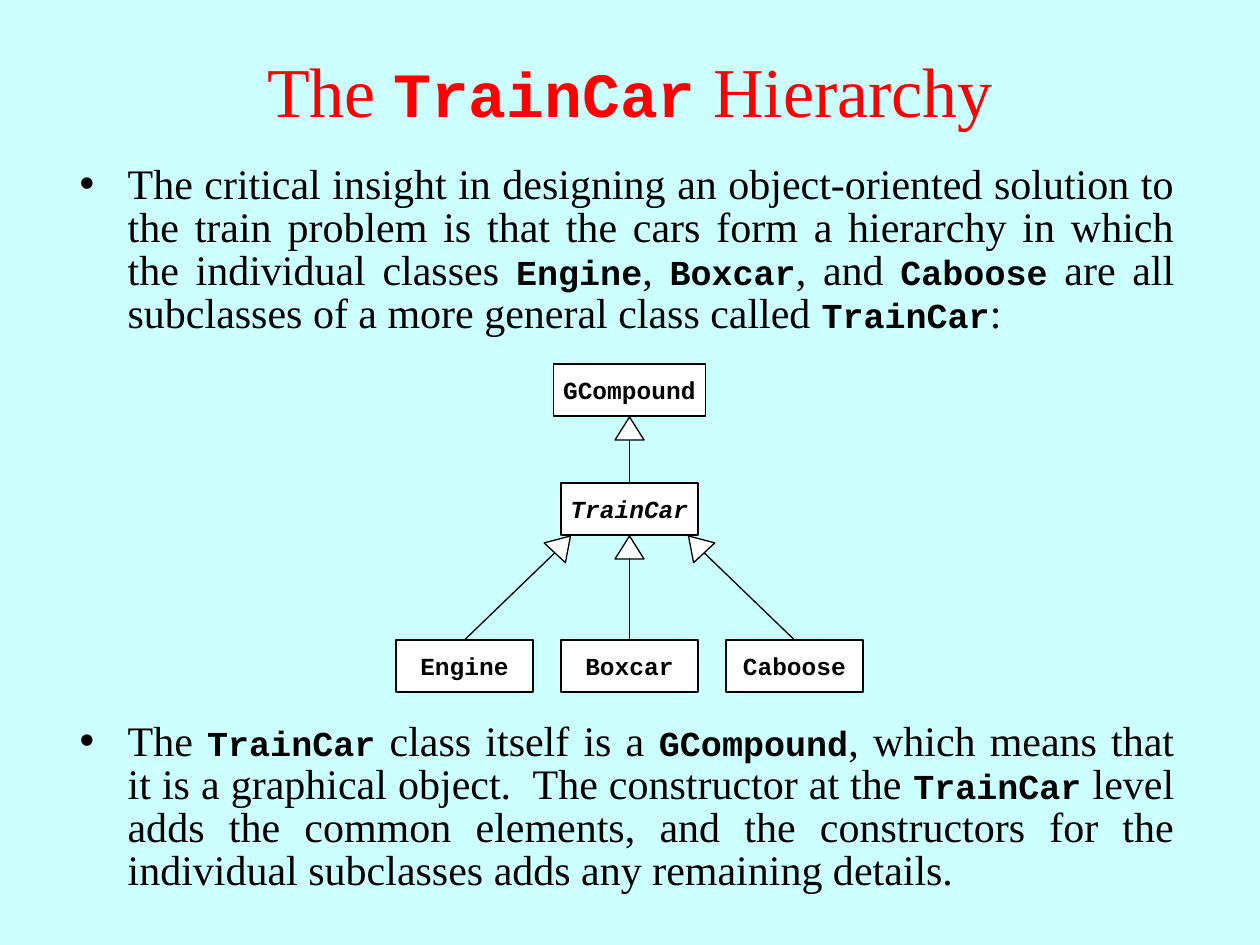
from math import cos, radians, sin

from lxml.etree import SubElement
from pptx import Presentation
from pptx.dml.color import RGBColor
from pptx.enum.shapes import MSO_CONNECTOR, MSO_SHAPE
from pptx.enum.text import MSO_ANCHOR, MSO_AUTO_SIZE, PP_ALIGN
from pptx.oxml.ns import qn
from pptx.util import Pt

PX = 914400 / 126
COLORS = {"background": "CCFFFF", "title": "FF0000", "ink": "000000", "box": "FFFFFF"}
SERIF, MONO = "Times New Roman", "Courier New"
CLASS_HEIGHT = 52
ARROW_WIDTH, ARROW_HEIGHT = 29, 23


def emu(*lengths):
    return [round(length * PX) for length in lengths]


def color(name):
    return RGBColor.from_string(COLORS[name])


def add_span(para, text, font, size, ink="ink", bold=False, italic=False):
    span = para.add_run()
    span.text = text
    span.font.name = font
    span.font.size = Pt(size)
    span.font.bold = bold
    span.font.italic = italic
    span.font.color.rgb = color(ink)


def add_mixed_text(para, pieces, serif_size, mono_size, ink="ink"):
    for index, piece in enumerate(pieces):
        is_code = index % 2 == 1
        add_span(para, piece, MONO if is_code else SERIF,
                 mono_size if is_code else serif_size, ink, bold=is_code)


def place_placeholder(shape, box, anchor):
    shape.left, shape.top, shape.width, shape.height = emu(*box)
    frame = shape.text_frame
    frame.word_wrap = True
    frame.auto_size = MSO_AUTO_SIZE.NONE
    frame.vertical_anchor = anchor
    return frame.paragraphs[0]


def fill_title(shape, box, pieces):
    para = place_placeholder(shape, box, MSO_ANCHOR.MIDDLE)
    para.alignment = PP_ALIGN.CENTER
    add_mixed_text(para, pieces, 40, 36, "title")


def fill_bullet(shape, box, pieces):
    para = place_placeholder(shape, box, MSO_ANCHOR.TOP)
    para.alignment = PP_ALIGN.JUSTIFY
    para.line_spacing = 0.85
    para.space_before = Pt(0)
    para.space_after = Pt(15)
    indent = emu(48)[0]
    properties = para._p.get_or_add_pPr()
    properties.set("marL", str(indent))
    properties.set("indent", str(-indent))
    add_mixed_text(para, pieces, 24, 20)


def outline(shape):
    shape.line.color.rgb = color("ink")
    shape.line.width = Pt(0.75)


def add_outlined_shape(shapes, kind, box):
    shape = shapes.add_shape(kind, *emu(*box))
    shape.shadow.inherit = False
    shape.fill.solid()
    shape.fill.fore_color.rgb = color("box")
    outline(shape)
    return shape


def add_class(shapes, name, center, top, width=137, italic=False):
    shape = add_outlined_shape(shapes, MSO_SHAPE.RECTANGLE,
                               (center - width / 2, top, width, CLASS_HEIGHT))
    frame = shape.text_frame
    frame.word_wrap = False
    frame.vertical_anchor = MSO_ANCHOR.MIDDLE
    para = frame.paragraphs[0]
    para.alignment = PP_ALIGN.CENTER
    add_span(para, name, MONO, 14, bold=True, italic=italic)


def add_inheritance(shapes, child, apex, tilt=0):
    across, down = -sin(radians(tilt)), cos(radians(tilt))
    middle_x = apex[0] + across * ARROW_HEIGHT / 2
    middle_y = apex[1] + down * ARROW_HEIGHT / 2
    base = (apex[0] + across * ARROW_HEIGHT, apex[1] + down * ARROW_HEIGHT)
    line = shapes.add_connector(MSO_CONNECTOR.STRAIGHT, *emu(*child, *base))
    outline(line)
    SubElement(line._element.spPr, qn("a:effectLst"))
    arrow = add_outlined_shape(
        shapes, MSO_SHAPE.ISOSCELES_TRIANGLE,
        (middle_x - ARROW_WIDTH / 2, middle_y - ARROW_HEIGHT / 2, ARROW_WIDTH, ARROW_HEIGHT))
    arrow.rotation = tilt


def add_hierarchy(page, box):
    left, top, width, height = box
    shapes = page.shapes.add_group_shape().shapes
    center = left + width / 2
    parent_top = top + 119
    child_top = top + height - CLASS_HEIGHT
    add_class(shapes, "GCompound", center, top, width=152)
    add_class(shapes, "TrainCar", center, parent_top, italic=True)
    add_inheritance(shapes, (center, parent_top), (center, top + CLASS_HEIGHT + 1))
    for side, name in zip((-1, 0, 1), ("Engine", "Boxcar", "Caboose")):
        child_center = center + side * 165
        add_class(shapes, name, child_center, child_top)
        add_inheritance(shapes, (child_center, child_top),
                        (center + side * 59, parent_top + CLASS_HEIGHT + 1), -43 * side)


def build_page(deck):
    page = deck.slides.add_slide(deck.slide_layouts.get_by_name("Two Content"))
    page.background.fill.solid()
    page.background.fill.fore_color.rgb = color("background")
    title, insight, details = page.placeholders
    fill_title(title, (0, 10, 1260, 158), ["The ", "TrainCar", " Hierarchy"])
    fill_bullet(insight, (67, 159, 1120, 314), [
        "The critical insight in designing an object-oriented solution to the train problem "
        "is that the cars form a hierarchy in which the individual classes ",
        "Engine", ", ", "Boxcar", ", and ", "Caboose",
        " are all subclasses of a more general class called ", "TrainCar", ":"])
    add_hierarchy(page, (396, 364, 467, 328))
    fill_bullet(details, (67, 716, 1120, 194), [
        "The ", "TrainCar", " class itself is a ", "GCompound",
        ", which means that it is a graphical object.  The constructor at the ", "TrainCar",
        " level adds the common elements, and the constructors for the individual subclasses "
        "adds any remaining details."])


def main():
    deck = Presentation()
    deck.slide_width, deck.slide_height = emu(1260, 945)
    build_page(deck)
    deck.save("out.pptx")


if __name__ == "__main__":
    main()
